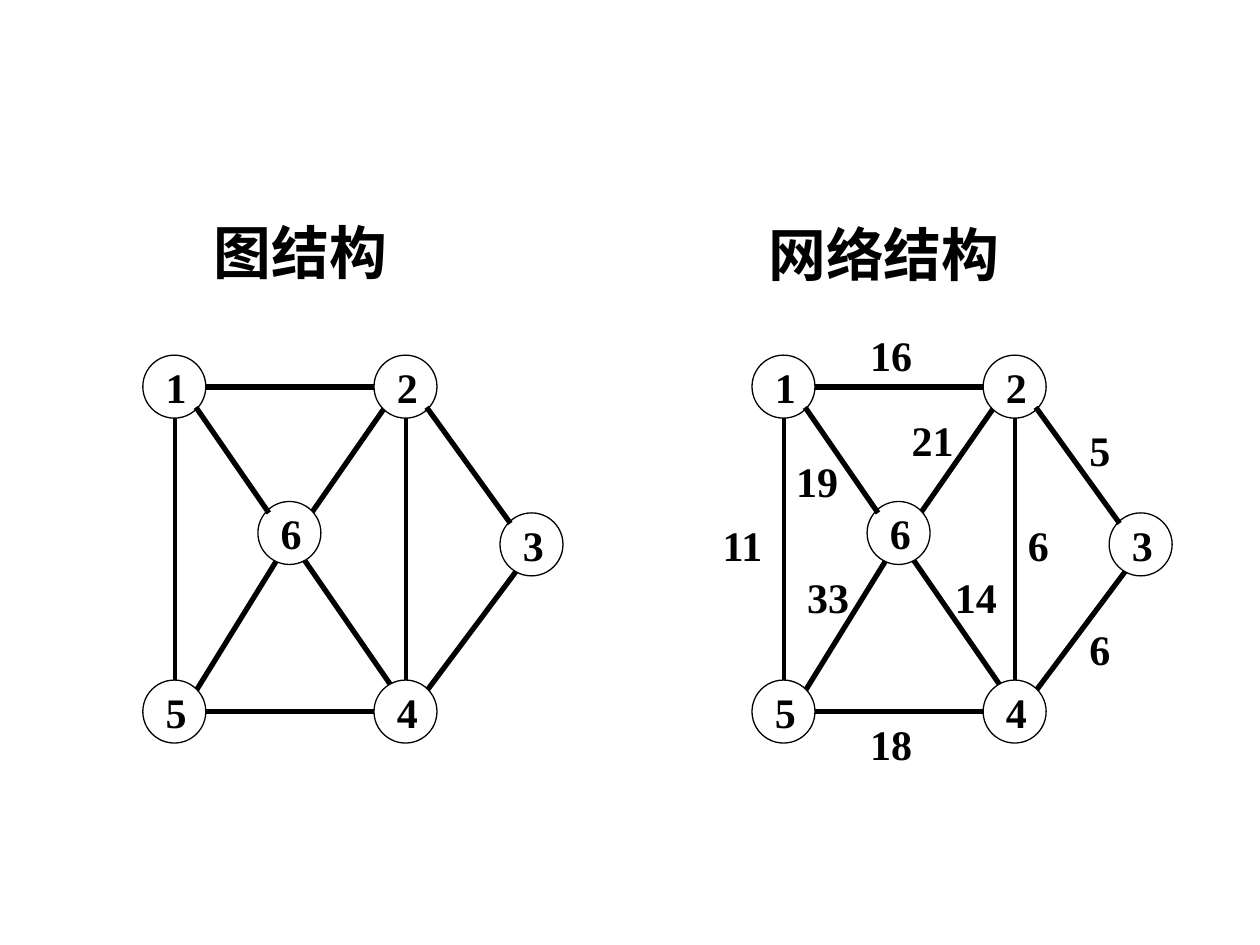
from dataclasses import dataclass

from lxml.etree import SubElement
from pptx import Presentation
from pptx.dml.color import RGBColor
from pptx.enum.shapes import MSO_CONNECTOR as Connector
from pptx.enum.shapes import MSO_SHAPE as Shape
from pptx.enum.text import MSO_AUTO_SIZE as AutoSize
from pptx.oxml.ns import qn
from pptx.util import Cm, Pt


@dataclass(frozen=True)
class Theme:
    ink: RGBColor = RGBColor(0, 0, 0)
    paper: RGBColor = RGBColor(255, 255, 255)
    title_font: str = "Noto Sans CJK SC"
    number_font: str = "Times New Roman"
    title_size: int = 33
    number_size: int = 24
    outline: float = 0.75
    upright: float = 2.25
    edge: float = 3


@dataclass(frozen=True)
class Edge:
    """A line in graph coordinates (cm), with its weight and the label corner."""
    start: tuple
    end: tuple
    weight: str
    label: tuple


THEME = Theme()
DIAMETER = 1.27
GRAPH_TOP = 7.16
GRAPH_LEFT, NETWORK_LEFT = 2.88, 15.16

# Top-left corner of each vertex, in cm from the corner of vertex 1
NODES = {
    "1": (0, 0), "2": (4.66, 0), "3": (7.2, 3.18),
    "4": (4.66, 6.55), "5": (0, 6.55), "6": (2.32, 2.95),
}
EDGES_BELOW = [
    Edge((4.88, 1.05), (3.4, 3.18), "21", (2.97, 1.07)),
    Edge((7.62, 4.23), (5.72, 6.77), "6", (6.55, 5.28)),
    Edge((2.77, 4.02), (1.07, 6.77), "33", (0.86, 4.24)),
    Edge((3.18, 4.02), (5.08, 6.77), "14", (3.84, 4.24)),
]
EDGES_ABOVE = [
    Edge((0.64, 1.27), (0.64, 6.55), "11", (-0.84, 3.18)),
    Edge((1.27, 7.19), (4.66, 7.19), "18", (2.13, 7.19)),
    Edge((1.27, 0.64), (4.66, 0.64), "16", (2.13, -0.64)),
    Edge((5.72, 1.05), (7.41, 3.39), "5", (6.55, 1.27)),
    Edge((1.07, 1.05), (2.54, 3.18), "19", (0.64, 1.9)),
    Edge((5.3, 1.27), (5.3, 6.55), "6", (5.31, 3.18)),
]


def style_text(box, font, size):
    for span in box.text_frame.paragraphs[0].runs:
        span.font.name = font
        span.font.size = Pt(size)
        span.font.bold = True
        span.font.color.rgb = THEME.ink
        SubElement(span.font._element, qn("a:ea"), typeface=font)


def add_title(page, text, left, top, width, indent):
    box = page.shapes.add_textbox(Cm(left), Cm(top), Cm(width), Cm(1.73))
    frame = box.text_frame
    frame.text = text
    frame.word_wrap = True
    frame.auto_size = AutoSize.SHAPE_TO_FIT_TEXT
    frame.margin_left, frame.margin_right = Cm(indent), Cm(0.3)
    frame.margin_top = frame.margin_bottom = Cm(0.15)
    style_text(box, THEME.title_font, THEME.title_size)


def add_number(page, text, left, top):
    width = 0.53 + 0.41 * len(text)
    box = page.shapes.add_textbox(Cm(left), Cm(top), Cm(width), Cm(DIAMETER))
    box.text_frame.text = text
    box.text_frame.word_wrap = False
    box.text_frame.auto_size = AutoSize.SHAPE_TO_FIT_TEXT
    style_text(box, THEME.number_font, THEME.number_size)


def add_node(page, name, left, top):
    circle = page.shapes.add_shape(
        Shape.OVAL, Cm(left), Cm(top), Cm(DIAMETER), Cm(DIAMETER))
    circle.shadow.inherit = False
    circle.fill.solid()
    circle.fill.fore_color.rgb = THEME.paper
    circle.line.color.rgb = THEME.ink
    circle.line.width = Pt(THEME.outline)
    add_number(page, name, left + 0.21, top)


def add_edge(page, edge, left):
    (x1, y1), (x2, y2) = edge.start, edge.end
    line = page.shapes.add_connector(
        Connector.STRAIGHT, Cm(left + x1), Cm(GRAPH_TOP + y1),
        Cm(left + x2), Cm(GRAPH_TOP + y2))
    line.line.color.rgb = THEME.ink
    line.line.width = Pt(THEME.upright if x1 == x2 else THEME.edge)
    SubElement(line._element.spPr, qn("a:effectLst"))


def add_graph(page, left):
    for edge in EDGES_BELOW:
        add_edge(page, edge, left)
    for name, (x, y) in NODES.items():
        add_node(page, name, left + x, GRAPH_TOP + y)
    for edge in EDGES_ABOVE:
        add_edge(page, edge, left)


def add_weights(page, left):
    for edge in EDGES_BELOW + EDGES_ABOVE:
        x, y = edge.label
        add_number(page, edge.weight, left + x, GRAPH_TOP + y)


def main():
    deck = Presentation()
    deck.slide_width, deck.slide_height = Cm(25.4), Cm(19.05)
    page = deck.slides.add_slide(deck.slide_layouts[6])
    add_title(page, "图结构", 3.5, 4.22, 5.41, indent=0.81)
    add_graph(page, GRAPH_LEFT)
    add_title(page, "网络结构", 15.19, 4.27, 5.59, indent=0.3)
    add_graph(page, NETWORK_LEFT)
    add_weights(page, NETWORK_LEFT)
    deck.save("out.pptx")


if __name__ == "__main__":
    main()
